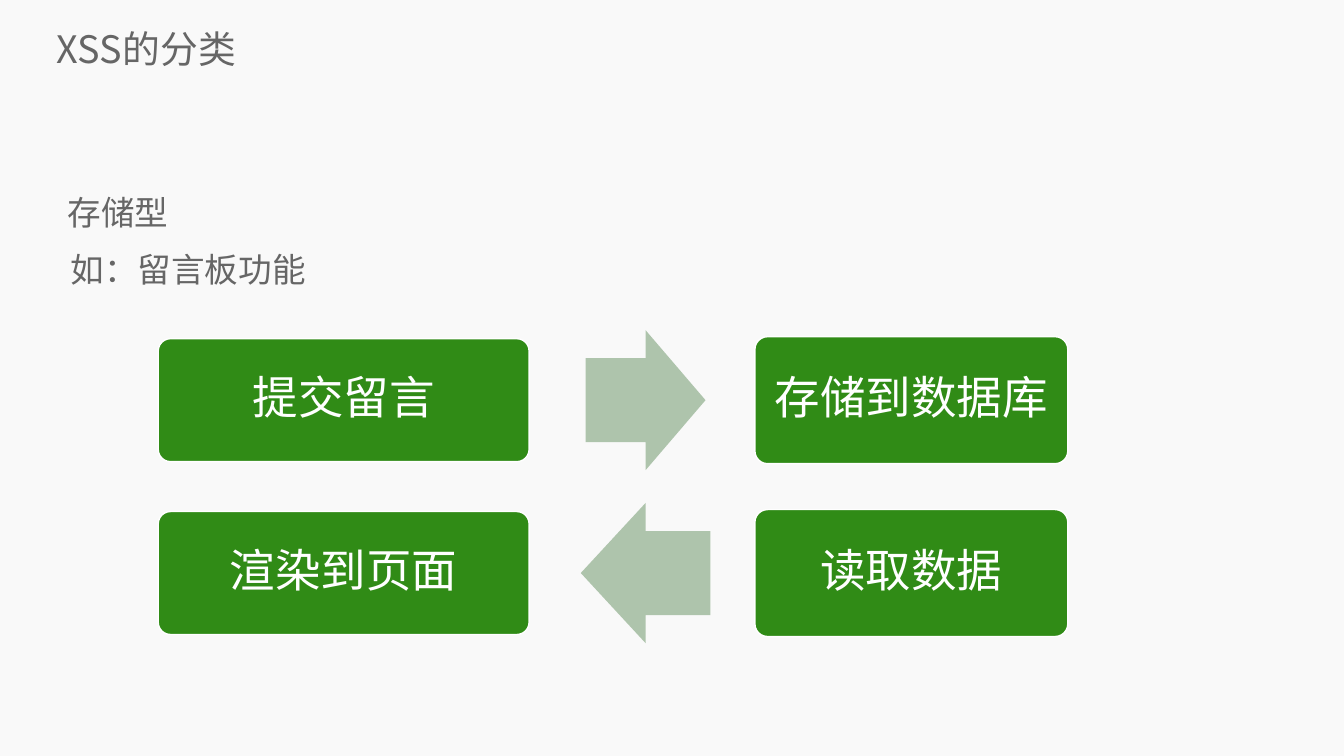
from lxml.etree import SubElement
from pptx import Presentation
from pptx.dml.color import RGBColor
from pptx.enum.shapes import MSO_SHAPE
from pptx.enum.text import MSO_ANCHOR, PP_ALIGN
from pptx.oxml.ns import qn
from pptx.util import Inches, Pt

BACKGROUND = RGBColor(0xF9, 0xF9, 0xF9)
GREY = RGBColor(0x66, 0x66, 0x66)
GREEN = RGBColor(0x30, 0x8B, 0x16)
PALE_GREEN = RGBColor(0xAE, 0xC4, 0xAC)
WHITE = RGBColor(0xFF, 0xFF, 0xFF)


def set_frame(frame, anchor, inset):
    values = {"word_wrap": True, "vertical_anchor": anchor}
    for side in ("left", "top", "right", "bottom"):
        values[f"margin_{side}"] = Inches(inset)
    for name, value in values.items():
        setattr(frame, name, value)


def write(para, text, size, typeface, color, spacing, align=PP_ALIGN.LEFT):
    para.alignment = align
    para.line_spacing = spacing
    span = para.add_run()
    span.text = text
    for name, value in {"size": Pt(size), "name": typeface}.items():
        setattr(span.font, name, value)
    span.font.color.rgb = color
    SubElement(span.font._element, qn("a:ea"), typeface=typeface)


deck = Presentation()
deck.slide_width, deck.slide_height = Inches(26.67), Inches(15)
page = deck.slides.add_slide(deck.slide_layouts[6])
page.background.fill.solid()
page.background.fill.fore_color.rgb = BACKGROUND

title = page.shapes.add_textbox(Inches(1.13), Inches(0.55), Inches(25.16), Inches(0.86))
set_frame(title.text_frame, MSO_ANCHOR.BOTTOM, 0)
write(title.text_frame.paragraphs[0], "XSS的分类", 54, "Noto Sans CJK SC", GREY, 1.0)

intro = page.shapes.add_textbox(Inches(1.19), Inches(3.49), Inches(24.28), Inches(11.24))
set_frame(intro.text_frame, MSO_ANCHOR.TOP, 0)
for index, (text, indent) in enumerate([("存储型", 0.15), ("如：留言板功能", 0.21)]):
    para = intro.text_frame.add_paragraph() if index else intro.text_frame.paragraphs[0]
    write(para, text, 48, "Noto Sans CJK SC", GREY, 1.4)
    para._p.get_or_add_pPr().set("marL", str(Inches(indent)))

rows = [
    (7.94, "提交留言", "存储到数据库", MSO_SHAPE.RIGHT_ARROW, 2.38),
    (11.37, "渲染到页面", "读取数据", MSO_SHAPE.LEFT_ARROW, 2.57),
]
for middle, left_text, right_text, arrow_kind, arrow_width in rows:
    for text, left, width, height in [
        (left_text, 3.14, 7.36, 2.44),
        (right_text, 14.98, 6.21, 2.52),
    ]:
        box = page.shapes.add_shape(
            MSO_SHAPE.ROUNDED_RECTANGLE,
            Inches(left), Inches(middle - height / 2), Inches(width), Inches(height),
        )
        box.shadow.inherit = False
        box.adjustments[0] = 0.1
        box.fill.solid()
        box.fill.fore_color.rgb = GREEN
        box.line.color.rgb = WHITE
        box.line.width = Pt(2)
        set_frame(box.text_frame, MSO_ANCHOR.MIDDLE, 0.2)
        write(box.text_frame.paragraphs[0], text, 65, "Roboto", WHITE, 0.9, PP_ALIGN.CENTER)

    arrow = page.shapes.add_shape(
        arrow_kind,
        Inches(12.81 - arrow_width / 2), Inches(middle - 1.39), Inches(arrow_width), Inches(2.78),
    )
    arrow.shadow.inherit = False
    arrow.adjustments[0] = 0.6
    arrow.adjustments[1] = 0.5
    arrow.fill.solid()
    arrow.fill.fore_color.rgb = PALE_GREEN
    arrow.line.fill.background()

deck.save("out.pptx")
